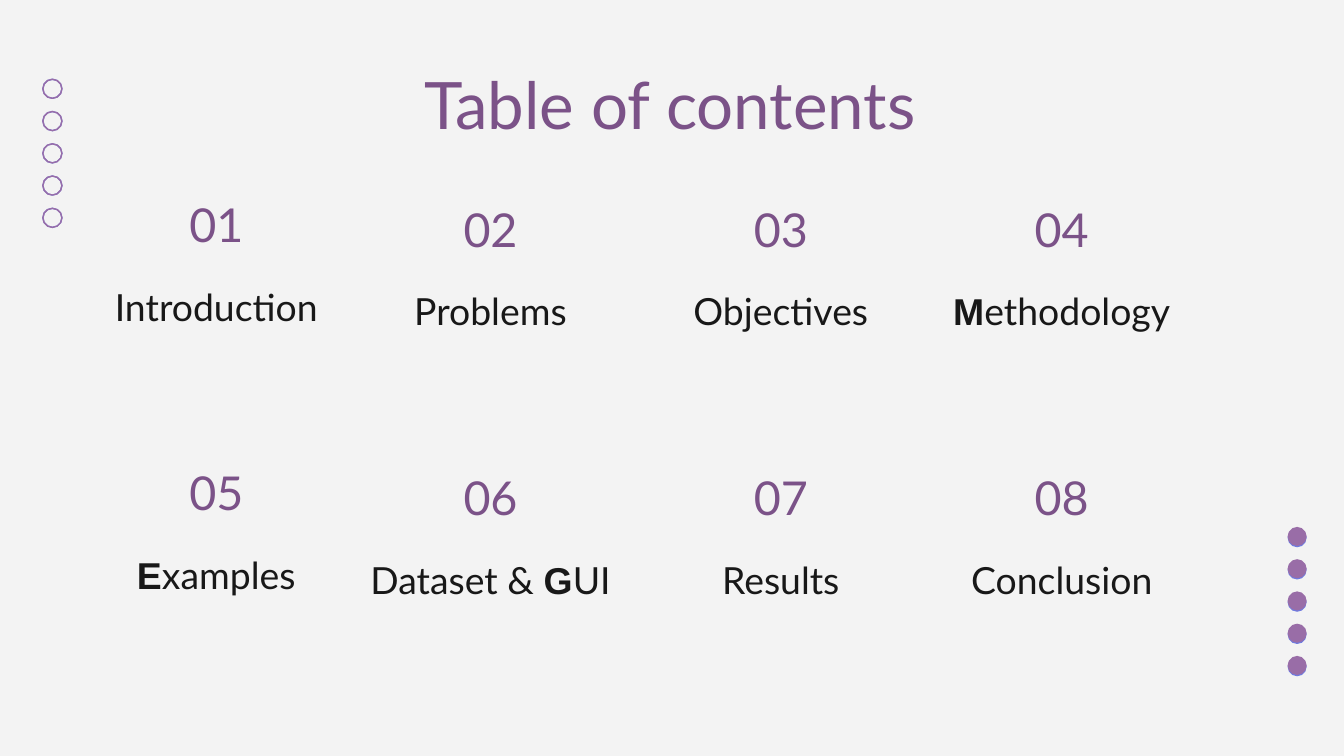
from dataclasses import dataclass

from pptx import Presentation
from pptx.dml.color import RGBColor
from pptx.enum.shapes import MSO_SHAPE
from pptx.enum.text import MSO_ANCHOR, MSO_AUTO_SIZE, PP_ALIGN
from pptx.util import Pt


@dataclass(frozen=True)
class Theme:
    background: RGBColor = RGBColor(0xF3, 0xF3, 0xF3)
    heading: RGBColor = RGBColor(0x7B, 0x52, 0x88)
    body: RGBColor = RGBColor(0x18, 0x18, 0x18)
    dot: RGBColor = RGBColor(0x99, 0x6D, 0xA7)
    dot_under: RGBColor = RGBColor(0x70, 0x7B, 0xE0)
    font: str = "Lato"
    accent_font: str = "Arial"
    title_size: int = 35
    number_size: int = 25
    label_size: int = 20


class ContentsSlide:
    def __init__(self, slide, theme):
        self.slide = slide
        self.theme = theme
        slide.background.fill.solid()
        slide.background.fill.fore_color.rgb = theme.background

    def _place(self, shape, left, top, width, height):
        shape.left, shape.top = Pt(left), Pt(top)
        shape.width, shape.height = Pt(width), Pt(height)

    def _write(self, shape, text, size, color, anchor, spacing=1.0):
        frame = shape.text_frame
        frame.word_wrap = True
        frame.auto_size = MSO_AUTO_SIZE.NONE
        frame.vertical_anchor = anchor
        frame.margin_left = frame.margin_right = Pt(7.2)
        frame.margin_top = frame.margin_bottom = Pt(7.2)
        paragraph = frame.paragraphs[0]
        paragraph.alignment = PP_ALIGN.CENTER
        paragraph.line_spacing = spacing
        paragraph.font.size = Pt(size)
        paragraph.font.color.rgb = color
        paragraph.font.name = self.theme.font
        for index, part in enumerate(text.split("*")):
            if part:
                run = paragraph.add_run()
                run.text = part
                if index % 2:
                    run.font.name = self.theme.accent_font
                    run.font.bold = True

    def title(self, text):
        heading = self.slide.shapes.title
        self._place(heading, 55.4, 27.4, 607, 45.4)
        self._write(heading, text, self.theme.title_size, self.theme.heading, MSO_ANCHOR.TOP)

    def number(self, text, center, top):
        box = self.slide.shapes.add_textbox(Pt(center - 28.8), Pt(top), Pt(57.6), Pt(49.7))
        self._write(box, text, self.theme.number_size, self.theme.heading, MSO_ANCHOR.MIDDLE)

    def label(self, text, center, top):
        box = self.slide.shapes.add_textbox(Pt(center - 90.7), Pt(top), Pt(181.4), Pt(38.2))
        self._write(box, text, self.theme.label_size, self.theme.body, MSO_ANCHOR.BOTTOM, 1.15)

    def dots(self, left, top, color, filled):
        for index in range(5):
            dot = self.slide.shapes.add_shape(
                MSO_SHAPE.OVAL, Pt(left), Pt(top + 17.28 * index), Pt(10.2), Pt(10.2))
            dot.shadow.inherit = False
            if filled:
                dot.fill.solid()
                dot.fill.fore_color.rgb = color
                dot.line.fill.background()
            else:
                dot.fill.background()
                dot.line.color.rgb = color
                dot.line.width = Pt(0.75)


def main():
    presentation = Presentation()
    presentation.slide_width, presentation.slide_height = Pt(720), Pt(405)
    theme = Theme()
    contents = ContentsSlide(
        presentation.slides.add_slide(presentation.slide_layouts[5]), theme)

    contents.dots(23, 42.5, theme.dot_under, filled=False)
    contents.dots(689.8, 283, theme.dot_under, filled=True)
    contents.title("Table of contents")

    centers = [115.9, 262.8, 418.3, 568.8]
    rows = [
        (97.9, 147.6, ["Introduction", "Problems", "Objectives", "*M*ethodology"]),
        (241.2, 291.6, ["*E*xamples", "Dataset & *G*UI", "Results", "Conclusion"]),
    ]
    for row, (number_top, label_top, topics) in enumerate(rows):
        for column, (center, topic) in enumerate(zip(centers, topics)):
            lift = 2.6 if column == 0 else 0
            position = row * len(centers) + column + 1
            contents.number(f"{position:02d}", center, number_top - lift)
            contents.label(topic, center, label_top - lift)

    contents.dots(689.8, 282.3, theme.dot, filled=True)
    contents.dots(23, 42.5, theme.dot, filled=False)
    presentation.save("out.pptx")


if __name__ == "__main__":
    main()
